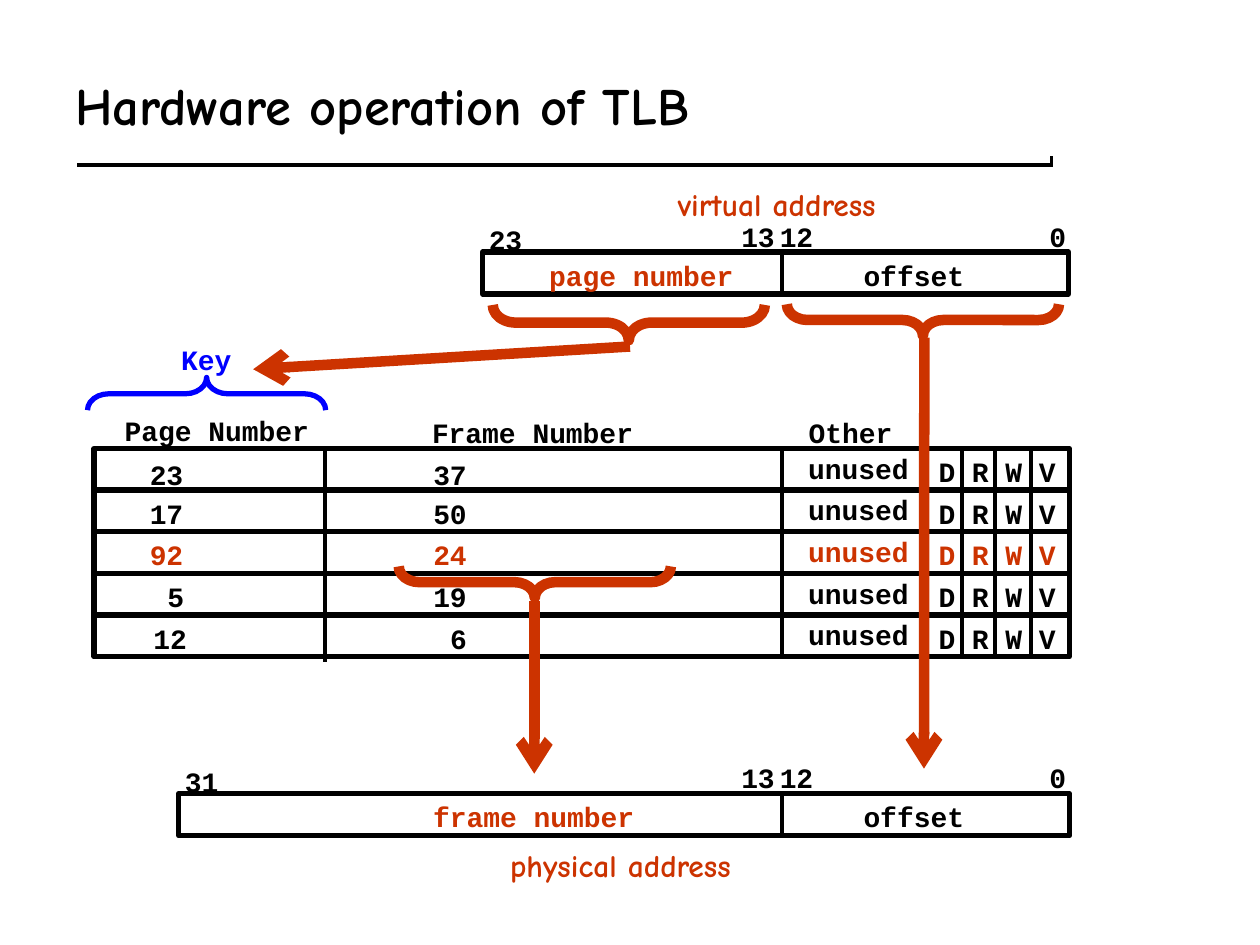
"""Build a slide showing how a TLB maps a virtual address to a physical address."""
from lxml import etree
from pptx import Presentation
from pptx import util as u
from pptx.dml.color import RGBColor
from pptx.enum import shapes, text
from pptx.oxml.ns import qn

BLACK, WHITE, RED, BLUE = "000000", "FFFFFF", "CC3300", "0000FF"
MONO, HAND = "Courier New", "Comic Neue"
color = RGBColor.from_string

presentation = Presentation()
presentation.slide_width, presentation.slide_height = u.Pt(720), u.Pt(540)
slide = presentation.slides.add_slide(presentation.slide_layouts[6])


def add_label(content, left, top, ink=BLACK, font=MONO, size=16, width=None, height=26.6):
    width = width or 14.4 + 9.6 * len(content)
    box = slide.shapes.add_textbox(u.Pt(left), u.Pt(top), u.Pt(width), u.Pt(height))
    frame = box.text_frame
    frame.word_wrap = False
    run = frame.paragraphs[0].add_run()
    run.text = content
    run.font.name, run.font.size, run.font.bold = font, u.Pt(size), True
    run.font.color.rgb = color(ink)
    return frame


def add_line(x1, y1, x2, y2, ink=BLACK, weight=2.25, arrow=False):
    line = slide.shapes.add_connector(
        shapes.MSO_CONNECTOR.STRAIGHT, u.Pt(x1), u.Pt(y1), u.Pt(x2), u.Pt(y2))
    line.line.color.rgb = color(ink)
    line.line.width = u.Pt(weight)
    properties = line._element.spPr
    if arrow:
        etree.SubElement(properties.find(qn("a:ln")), qn("a:tailEnd"), type="arrow")
    etree.SubElement(properties, qn("a:effectLst"))


add_line(43.9, 92.2, 601.9, 92.2, BLACK, 6)
add_line(41.8, 90, 599.8, 90, WHITE, 6)
title = add_label("Hardware operation of TLB", 36, 23.8, BLACK, HAND, 30, 617.8, 72)
title.word_wrap = True
title.vertical_anchor = text.MSO_ANCHOR.MIDDLE

row_height = 23.8
row_tops = [256.3 + row_height * index for index in range(5)]
bars = [(275.8, 144, 334.8, 24), (102.2, 453.6, 509, 24)]
bars += [(53.8, top, 557.3, row_height) for top in row_tops]
for left, top, width, height in bars:
    shape = slide.shapes.add_shape(
        shapes.MSO_SHAPE.RECTANGLE, u.Pt(left), u.Pt(top), u.Pt(width), u.Pt(height))
    shape.shadow.inherit = False
    shape.fill.background()
    shape.line.color.rgb = color(BLACK)
    shape.line.width = u.Pt(3)

addresses = [
    (144, "23", 272.2, "page number", 306.7),
    (453.6, "31", 98.6, "frame number", 240.5),
]
for top, high_bit, high_left, field, field_left in addresses:
    add_line(446.7, top, 446.7, top + 24)
    add_label(high_bit, high_left, top - 20.5)
    for bit, left in [("13", 416.5), ("12", 438.5), ("0", 592.6)]:
        add_label(bit, left, top - 22.3)
    add_label(field, field_left, top, RED)
    add_label("offset", 486.4, top)

add_label("virtual address", 380.2, 102.2, RED, HAND, 18, 128.2, 28.8)
add_label("physical address", 284.4, 480.2, RED, HAND, 18, 141.1, 28.8)

for heading, left, top in [
    ("Page Number", 64.1, 232.6), ("Frame Number", 239.8, 234), ("Other", 455, 234),
]:
    add_label(heading, left, top)

entries = [
    ("23", 78.5, "37", 240.5, 1.4, BLACK),
    ("17", 78.5, "50", 240.5, 0, BLACK),
    ("92", 78.5, "24", 240.5, 0, RED),
    ("5", 88.6, "19", 240.5, 0, BLACK),
    ("12", 80.6, "6", 250.1, 0, BLACK),
]
for top, (page, page_left, frame, frame_left, drop, ink) in zip(row_tops, entries):
    for x in (446.8, 530, 549.8, 568.5, 589.3):
        add_line(x, top, x, top + row_height)
    add_label(page, page_left, top + drop, ink)
    add_label(frame, frame_left, top + drop, ink)
    add_label("unused", 454.8, top - 2, ink)
    add_label("D R W V", 529.2, top, ink)
add_line(185.8, 257.8, 185.8, 378)

add_label("Key", 96.5, 192.2, BLUE)
down, up = shapes.MSO_SHAPE.RIGHT_BRACE, shapes.MSO_SHAPE.LEFT_BRACE
braces = [
    (down, 518.4, 105.1, 18, 155.5, RED, 6),
    (down, 349.2, 106.6, 20.2, 155.5, RED, 6),
    (down, 296.6, 254.9, 18, 155.5, RED, 6),
    (up, 108.7, 157, 18.7, 136.1, BLUE, 3),
]
for kind, left, top, width, height, ink, weight in braces:
    brace = slide.shapes.add_shape(kind, u.Pt(left), u.Pt(top), u.Pt(width), u.Pt(height))
    brace.rotation = 90
    brace.adjustments[0] = 0.65
    brace.shadow.inherit = False
    brace.fill.background()
    brace.line.color.rgb = color(ink)
    brace.line.width = u.Pt(weight)

for x1, y1, x2, y2 in [
    (528.2, 193, 528, 439.2), (305.3, 343.4, 305.3, 442.1), (360, 198, 144.7, 211),
]:
    add_line(x1, y1, x2, y2, RED, 6, arrow=True)

presentation.save("out.pptx")
